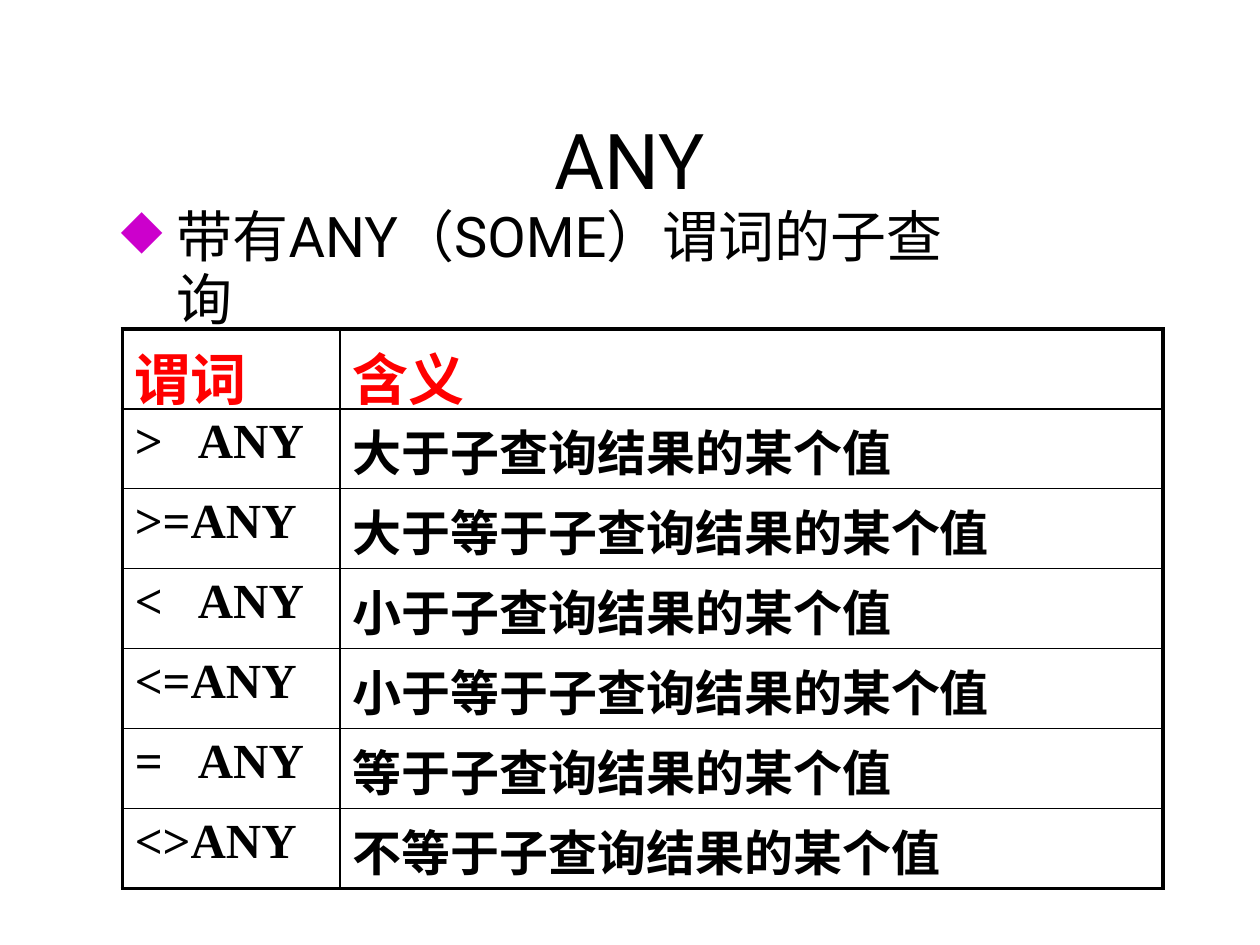
from lxml import etree
from pptx import Presentation
from pptx.dml.color import RGBColor
from pptx.enum.text import MSO_ANCHOR, MSO_AUTO_SIZE, PP_ALIGN
from pptx.oxml.ns import qn
from pptx.util import Inches, Pt

TITLE = "ANY"
BULLET = "带有ANY（SOME）谓词的子查询"
ROWS = [
    ("谓词", "含义"),
    (">\tANY", "大于子查询结果的某个值"),
    (">=ANY", "大于等于子查询结果的某个值"),
    ("<\tANY", "小于子查询结果的某个值"),
    ("<=ANY", "小于等于子查询结果的某个值"),
    ("=\tANY", "等于子查询结果的某个值"),
    ("<>ANY", "不等于子查询结果的某个值"),
]
COLS = (1.73, 6.53)
ROW_H = 4.44 / len(ROWS)
CJK, SANS, SERIF = "Noto Sans CJK SC", "Roboto", "Times New Roman"
BLACK, RED, PURPLE = "000000", "FF0000", "CC00CC"
THIN, THICK = 1, 2.25


def rgb(color):
    return RGBColor.from_string(color)


def add(parent, tag, **attrs):
    el = etree.SubElement(parent, qn(tag))
    for name, value in attrs.items():
        el.set(name, str(value))
    return el


def indent(p, left, first=0):
    pPr = p._p.get_or_add_pPr()
    pPr.set("marL", str(Inches(left)))
    pPr.set("indent", str(Inches(first)))
    return pPr


def add_tab(pPr, pos):
    add(add(pPr, "a:tabLst"), "a:tab", pos=Inches(pos), algn="l")


def style(p, size, latin, color=BLACK, bold=False):
    for r in p.runs:
        r.font.size, r.font.bold, r.font.name = Pt(size), bold, latin
        r.font.color.rgb = rgb(color)
        add(r._r.get_or_add_rPr(), "a:ea", typeface=CJK)


def set_borders(cell, widths):
    tcPr = cell._tc.get_or_add_tcPr()
    for side, width in zip("LRTB", widths):
        ln = add(tcPr, f"a:ln{side}", w=Pt(width))
        add(add(ln, "a:solidFill"), "a:srgbClr", val=BLACK)


def add_heading(s):
    sp = s.shapes.title
    sp.left, sp.top, sp.width, sp.height = map(Inches, (0.95, 0.91, 6.88, 1.24))
    tf = sp.text_frame
    tf.text = f"{TITLE}\n{BULLET}"
    tf.word_wrap, tf.auto_size = True, MSO_AUTO_SIZE.SHAPE_TO_FIT_TEXT
    tf.vertical_anchor = MSO_ANCHOR.TOP
    tf.margin_left = tf.margin_right = tf.margin_bottom = 0
    tf.margin_top = Inches(0.01)

    title, bullet = tf.paragraphs
    indent(title, 1.21)
    title.alignment, title.line_spacing = PP_ALIGN.CENTER, Pt(50.8)
    style(title, 44, SANS)

    pPr = indent(bullet, 0.45, -0.44)
    add(add(pPr, "a:buClr"), "a:srgbClr", val=PURPLE)
    add(pPr, "a:buSzPct", val=97000)
    add(pPr, "a:buChar", char="◆")
    add_tab(pPr, 0.45)
    bullet.alignment, bullet.line_spacing = PP_ALIGN.LEFT, Pt(36.4)
    style(bullet, 32, SANS)


def add_predicates(s):
    frame = s.shapes.add_table(len(ROWS), len(COLS), Inches(0.97), Inches(2.61),
                               Inches(sum(COLS)), Inches(ROW_H * len(ROWS)))
    table = frame.table
    table.first_row = table.horz_banding = False
    for col, width in zip(table.columns, COLS):
        col.width = Inches(width)
    for i, texts in enumerate(ROWS):
        table.rows[i].height = Inches(ROW_H)
        for j, text in enumerate(texts):
            cell = table.cell(i, j)
            outer = (j == 0, j == len(COLS) - 1, i == 0, i == len(ROWS) - 1)
            set_borders(cell, [THICK if edge else THIN for edge in outer])
            cell.fill.background()
            cell.margin_left = cell.margin_right = cell.margin_bottom = 0
            cell.margin_top = Inches(0.05)
            cell.text = text
            p = cell.text_frame.paragraphs[0]
            pPr = indent(p, 0.1)
            if "\t" in text:
                add_tab(pPr, 0.49)
            if i == 0:
                style(p, 32, CJK, RED, True)
            else:
                style(p, 28, CJK if j else SERIF, BLACK, True)


def main():
    prs = Presentation()
    prs.slide_width, prs.slide_height = Inches(10), Inches(7.5)
    s = prs.slides.add_slide(prs.slide_layouts[5])
    add_heading(s)
    add_predicates(s)
    prs.save("out.pptx")


if __name__ == "__main__":
    main()
